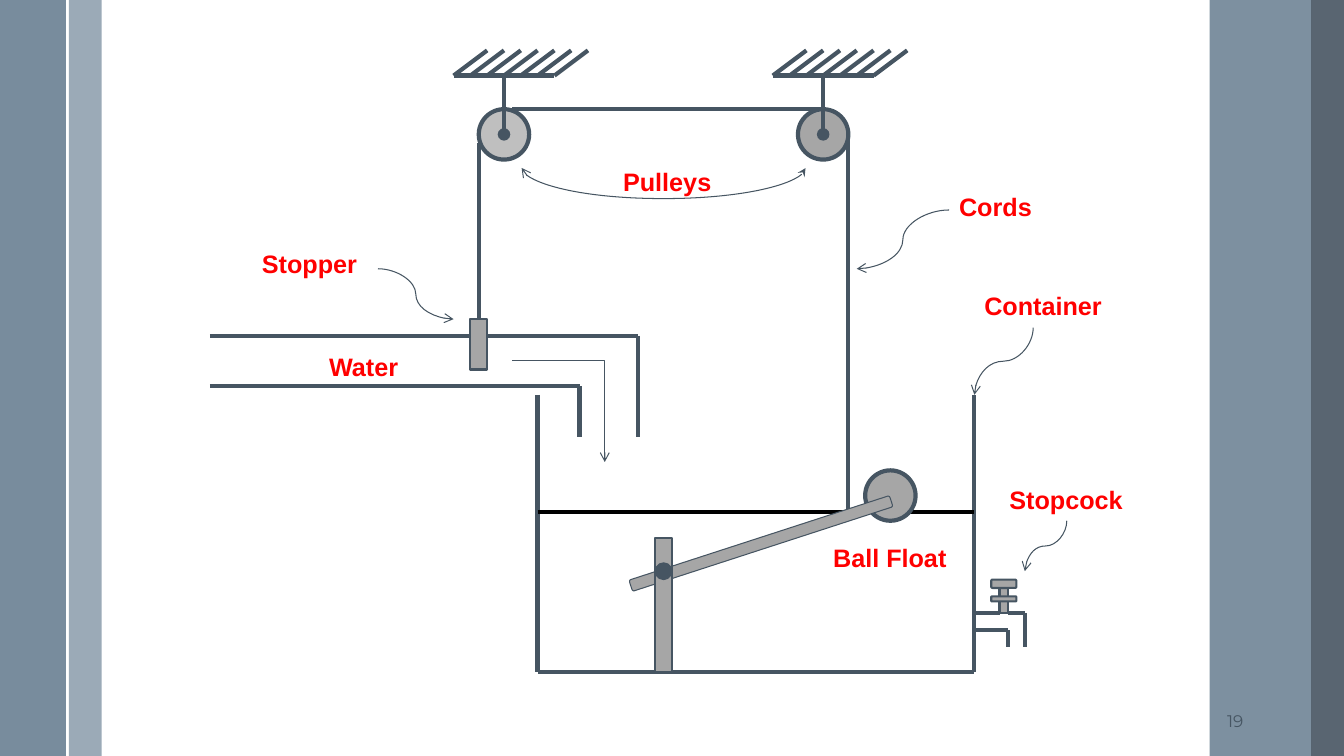
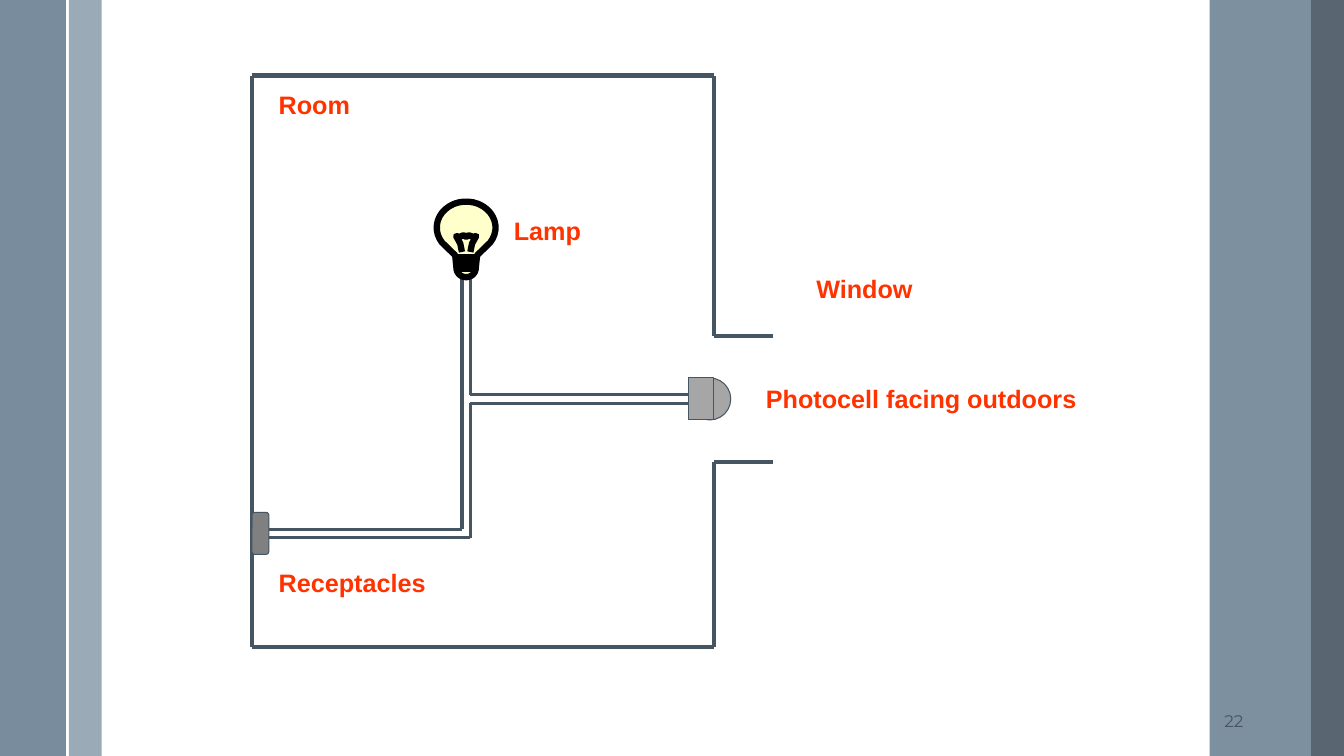
import dataclasses
import itertools
import math

import lxml.etree
import pptx
import pptx.dml.color
import pptx.enum.shapes
import pptx.enum.text
import pptx.oxml
import pptx.oxml.ns
import pptx.util

SHAPE = pptx.enum.shapes.MSO_SHAPE
CONNECTOR = pptx.enum.shapes.MSO_CONNECTOR
UNIT = pptx.util.Inches(1) / 12
COLUMNS, ROWS = 160, 90


@dataclasses.dataclass(frozen=True)
class Theme:
    ink: str = "465562"
    metal: str = "A6A6A6"
    light_metal: str = "BFBFBF"
    socket: str = "808080"
    glass: str = "FFFFCC"
    black: str = "000000"
    white: str = "FFFFFF"
    pale_band: str = "9BAAB7"
    band: str = "6A8093"
    dark_band: str = "475562"
    red: str = "FF0000"
    orange: str = "FF3300"
    label_font: str = "Arial"
    number_font: str = "Montserrat"
    label_size: float = 18
    number_size: float = 12
    hairline: float = 0.75
    thin: float = 1.5
    wire: float = 2.25
    thick: float = 3
    heavy: float = 4.5


THEME = Theme()


def grid(value):
    return pptx.util.Emu(round(value * UNIT))


def rgb(value):
    return pptx.dml.color.RGBColor.from_string(value)


def add_element(parent, tag, **attributes):
    return lxml.etree.SubElement(parent, pptx.oxml.ns.qn(tag), attributes)


@dataclasses.dataclass
class Sketch:
    presentation: object
    slide: object = None

    def start(self, number):
        first = self.slide is None
        layout = self.presentation.slide_layouts[6]
        self.slide = self.presentation.slides.add_slide(layout)
        if first:
            self.bands(layout)
        self.text(number, 141.2, 83.4, 8, THEME.ink, THEME.number_font,
                  THEME.number_size, bold=False, page_number=True)

    def bands(self, layout):
        parts = [
            self.shape(SHAPE.RECTANGLE, 8.2, 0, 3.9, ROWS, THEME.pale_band, 0),
            self.shape(SHAPE.RECTANGLE, 0, 0, 8, ROWS, THEME.band, 0, opacity=90),
            self.line((8, 0), (8, ROWS), THEME.thin, THEME.white),
            self.shape(SHAPE.RECTANGLE, 144, 0, 12.1, ROWS, THEME.band, 0, opacity=87),
            self.shape(SHAPE.RECTANGLE, 156.1, 0, 3.9, ROWS, THEME.dark_band, 0, opacity=90),
        ]
        for part in parts:
            layout.shapes.element.append(part.element)

    def paint(self, shape, fill, width, color=THEME.ink, opacity=100):
        shape.shadow.inherit = False
        if fill:
            shape.fill.solid()
            shape.fill.fore_color.rgb = rgb(fill)
        else:
            shape.fill.background()
        if opacity < 100:
            fill_color = shape.element.spPr.find(".//" + pptx.oxml.ns.qn("a:srgbClr"))
            add_element(fill_color, "a:alpha", val=str(opacity * 1000))
        if width:
            shape.line.color.rgb = rgb(color)
            shape.line.width = pptx.util.Pt(width)
        else:
            shape.line.fill.background()
        return shape

    def shape(self, kind, column, row, columns, rows, fill=THEME.metal,
              width=THEME.hairline, opacity=100, rotation=0):
        shape = self.slide.shapes.add_shape(
            kind, grid(column), grid(row), grid(columns), grid(rows))
        shape.rotation = rotation
        return self.paint(shape, fill, width, opacity=opacity)

    def outline(self, points, fill=None, width=THEME.heavy, color=THEME.black):
        start, *rest = [(grid(column), grid(row)) for column, row in points]
        builder = self.slide.shapes.build_freeform(*start, scale=1.0)
        builder.add_line_segments(rest, close=bool(fill))
        return self.paint(builder.convert_to_shape(), fill, width, color)

    def line(self, start, end, width=THEME.thick, color=THEME.ink,
             kind=CONNECTOR.STRAIGHT, head=None, tail=None):
        connector = self.slide.shapes.add_connector(
            kind, *(grid(value) for value in (*start, *end)))
        connector.line.color.rgb = rgb(color)
        connector.line.width = pptx.util.Pt(width)
        stroke = connector.line._get_or_add_ln()
        for tag, ending in (("a:headEnd", head), ("a:tailEnd", tail)):
            if ending:
                add_element(stroke, tag, type=ending)
        add_element(connector.element.spPr, "a:effectLst")
        return connector

    def pointer(self, start, end, kind=CONNECTOR.CURVE, head=None, tail="arrow"):
        return self.line(start, end, THEME.hairline, kind=kind, head=head, tail=tail)

    def downward_pointer(self, start, end, bend=0.5, kind=CONNECTOR.CURVE,
                         head=None, tail="arrow"):
        middle_column = (start[0] + end[0]) / 2
        middle_row = (start[1] + end[1]) / 2
        half_length = (end[1] - start[1]) / 2
        half_span = abs(end[0] - start[0]) / 2
        connector = self.pointer((middle_column - half_length, middle_row - half_span),
                                 (middle_column + half_length, middle_row + half_span),
                                 kind, head, tail)
        properties = connector.element.spPr
        frame = properties.find(pptx.oxml.ns.qn("a:xfrm"))
        if end[0] > start[0]:
            frame.set("rot", str(270 * 60000))
            frame.set("flipH", "1")
        else:
            frame.set("rot", str(90 * 60000))
        adjustments = properties.find(".//" + pptx.oxml.ns.qn("a:avLst"))
        add_element(adjustments, "a:gd", name="adj1", fmla=f"val {round(bend * 100000)}")

    def route(self, *points, width=THEME.thick):
        for start, end in itertools.pairwise(points):
            self.line(start, end, width)

    def text(self, words, column, row, columns, color, font=THEME.label_font,
             size=THEME.label_size, bold=True, page_number=False):
        box = self.slide.shapes.add_textbox(
            grid(column), grid(row), grid(columns), grid(4.8))
        frame = box.text_frame
        frame.word_wrap = True
        paragraph = frame.paragraphs[0]
        if page_number:
            frame.vertical_anchor = pptx.enum.text.MSO_ANCHOR.MIDDLE
            paragraph.alignment = pptx.enum.text.PP_ALIGN.RIGHT
        else:
            frame.auto_size = pptx.enum.text.MSO_AUTO_SIZE.SHAPE_TO_FIT_TEXT
        run = paragraph.add_run()
        run.text = words
        run.font.name = font
        run.font.size = pptx.util.Pt(size)
        run.font.bold = bold
        run.font.color.rgb = rgb(color)

    def labels(self, color, *labels):
        for words, column, row, columns in labels:
            self.text(words, column, row, columns, color)

    def pulley(self, center, fill):
        left = center - 6
        self.line((left, 9), (left + 12, 9))
        for column in range(left, left + 13, 2):
            self.line((column, 9), (column + 4, 6))
        self.shape(SHAPE.OVAL, center - 3, 13, 6, 6, fill, THEME.thick)
        self.line((center, 9), (center, 16), tail="oval")

    def bulb(self, center, top):
        def arc(first, last, row, width, height):
            return [(center + width * math.cos(math.radians(angle)),
                     row + height * math.sin(math.radians(angle)))
                    for angle in range(first, last + 1, 10)]

        def centered(points):
            return [(center + column, top + row) for column, row in points]

        globe = arc(145, 395, top + 3.1, 3.5, 3.1)
        foot = arc(0, 180, top + 7.9, 1.15, 1.1)
        neck_right, neck_left = centered([(1.3, 6.4), (-1.3, 6.4)])
        self.outline([*globe, neck_right, *foot, neck_left], THEME.glass)
        half_filament = [(-0.5, 6), (-0.7, 5), (-1.2, 4.1), (-0.8, 4.2), (-0.3, 4)]
        other_half = [(-column, row) for column, row in reversed(half_filament)]
        self.outline(centered([*half_filament, (0, 4.2), *other_half]))
        thread = [(side, row) for row, sides in zip((6.6, 7.1, 7.6, 8), ((-1, 1), (1, -1)) * 2)
                  for side in sides]
        self.outline(centered(thread))


def draw_float_valve(sketch):
    sketch.start("19")
    sketch.pulley(60, THEME.light_metal)
    sketch.pulley(98, THEME.metal)
    sketch.line((61, 13), (98, 13))
    sketch.line((57, 17), (57, 38))
    sketch.route((25, 40), (76, 40), (76, 52))
    sketch.shape(SHAPE.RECTANGLE, 56, 38, 2, 6, width=THEME.thin)
    sketch.route((25, 46), (69, 46), (69, 52))
    sketch.route((64, 47), (64, 80), (116, 80), (116, 47))
    sketch.line((101, 16), (101, 61))
    sketch.line((64, 61), (116, 61), color=THEME.black)

    sketch.shape(SHAPE.OVAL, 103, 56, 6, 6, width=THEME.thick)
    sketch.shape(SHAPE.ROUNDED_RECTANGLE, 74.3, 64, 32.6, 1.4, rotation=342)
    sketch.shape(SHAPE.RECTANGLE, 78, 64, 2, 16, width=THEME.thin)
    sketch.shape(SHAPE.OVAL, 78, 67, 2, 2, THEME.ink)

    sketch.line((116, 73), (119, 73))
    sketch.route((120, 73), (122, 73), (122, 77))
    sketch.route((116, 75), (120, 75), (120, 77))
    sketch.shape(SHAPE.RECTANGLE, 119, 69, 1, 4, width=THEME.thin)
    for row, rows in ((71, 0.6), (69, 1)):
        sketch.shape(SHAPE.ROUNDED_RECTANGLE, 118, row, 3, rows, width=THEME.thin)

    sketch.pointer((45, 32), (54, 38))
    sketch.pointer((113, 25), (102, 32))
    sketch.downward_pointer((123, 39), (116, 47))
    sketch.downward_pointer((127, 62), (122, 68))
    sketch.downward_pointer((61, 43), (72, 55), bend=-0.01, kind=CONNECTOR.ELBOW)
    sketch.downward_pointer((62.1, 20), (95.9, 20.02), bend=193,
                            head="arrow", tail="stealth")
    sketch.labels(THEME.red,
                  ("Water", 38, 41.2, 17), ("Stopper", 30, 29, 17),
                  ("Pulleys", 73, 19.2, 13), ("Cords", 113, 22.2, 13),
                  ("Ball Float", 98, 64, 16), ("Container", 116, 34, 18),
                  ("Stopcock", 119, 57.1, 18))


def draw_photocell_room(sketch):
    sketch.start("22")
    sketch.route((55, 32), (55, 63), (30, 63), width=THEME.wire)
    sketch.route((56, 32), (56, 47), (82, 47), width=THEME.wire)
    sketch.route((82, 48), (56, 48), (56, 64), (30, 64), width=THEME.wire)
    sketch.bulb(55.5, 24)
    sketch.shape(SHAPE.OVAL, 82, 45, 5, 5)
    sketch.shape(SHAPE.RECTANGLE, 82, 45, 3, 5)
    sketch.route((92, 40), (85, 40), (85, 9), (30, 9),
                 (30, 77), (85, 77), (85, 55), (92, 55))
    sketch.shape(SHAPE.ROUNDED_RECTANGLE, 30, 61, 2, 5, THEME.socket)
    sketch.labels(THEME.orange,
                  ("Room", 32, 10, 12), ("Lamp", 60, 25, 12),
                  ("Window", 96, 32, 19), ("Receptacles", 32, 67, 23),
                  ("Photocell facing outdoors", 90, 45.1, 42))


def main():
    presentation = pptx.Presentation()
    presentation.slide_width = grid(COLUMNS)
    presentation.slide_height = grid(ROWS)
    sketch = Sketch(presentation)
    draw_float_valve(sketch)
    draw_photocell_room(sketch)
    presentation.save("out.pptx")


if __name__ == "__main__":
    main()
